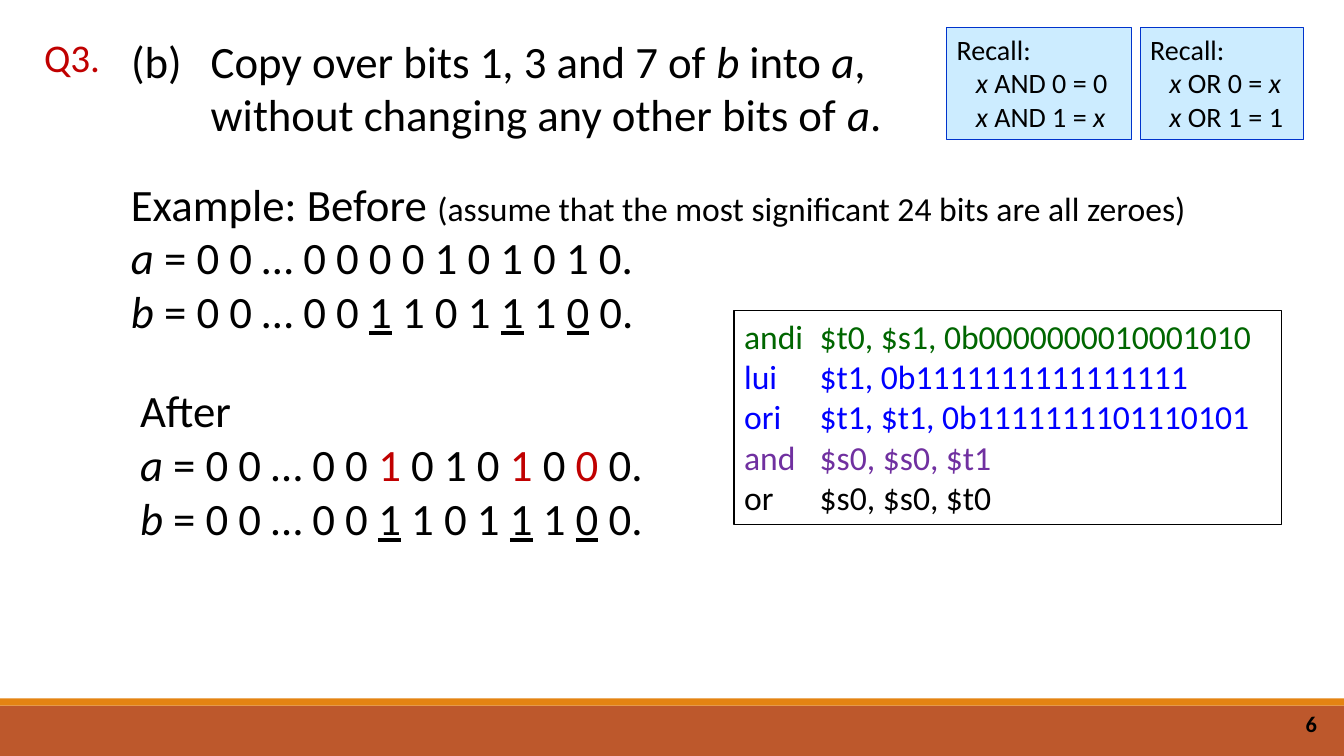
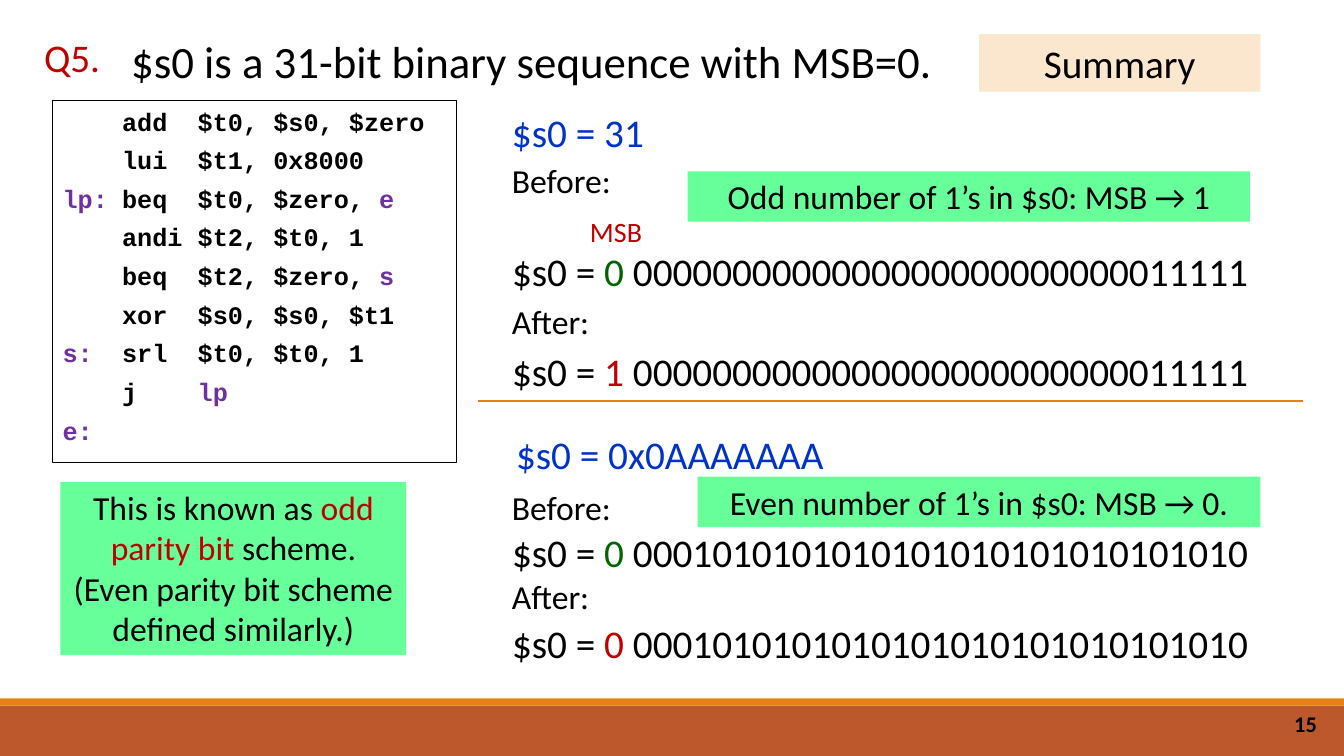
from dataclasses import dataclass
from lxml.etree import SubElement
from pptx import Presentation
from pptx.dml.color import RGBColor
from pptx.enum.shapes import MSO_CONNECTOR, MSO_SHAPE
from pptx.enum.text import MSO_ANCHOR, MSO_AUTO_SIZE, PP_ALIGN
from pptx.oxml.ns import qn
from pptx.util import Inches, Pt


@dataclass(frozen=True)
class Theme:
    sans: str = "Calibri"
    mono: str = "Courier New"
    black: str = "000000"
    white: str = "FFFFFF"
    red: str = "C00000"
    green: str = "006600"
    blue: str = "0033CC"
    code: str = "0000FF"
    plum: str = "7030A0"
    rust: str = "BD582C"
    gold: str = "E48312"
    sky: str = "CCECFF"
    mint: str = "66FF99"
    sand: str = "FBE6CE"
    head: int = 32
    big: int = 28
    mid: int = 24
    note: int = 20
    mono_size: int = 18
    page: int = 16


T = Theme()
WIDE, HIGH = 13.33, 7.5
LEFT, TOP = 1.2, 0.28
FOOT, EDGE = 7, 0.07
COL, SPAN = 4.98, 7.85

MARKS = {
    "i": ("italic", True), "u": ("underline", True), "s": ("size", Pt(T.mid)),
    "r": ("color", T.red), "g": ("color", T.green), "p": ("color", T.plum),
}

B_BITS = "|i:b| = 0 0 … 0 0 |u:1| 1 0 1 |u:1| 1 |u:0| 0."
COPY = "(b)\tCopy over bits 1, 3 and 7 of |i:b| into |i:a|, without changing any other bits of |i:a|."
BEFORE = [
    "Example: Before |s:(assume that the most significant 24 bits are all zeroes)|",
    "|i:a| = 0 0 … 0 0 0 0 1 0 1 0 1 0.",
    B_BITS,
]
AFTER = ["After", "|i:a| = 0 0 … 0 0 |r:1| 0 1 0 |r:1| 0 |r:0| 0.", B_BITS]
MASK = [
    ("andi\t$t0, $s1, 0b0000000010001010", T.green),
    ("lui\t$t1, 0b1111111111111111", T.code),
    ("ori\t$t1, $t1, 0b1111111101110101", T.code),
    ("and\t$s0, $s0, $t1", T.plum),
    ("or\t$s0, $s0, $t0", T.black),
]
RECALL = [
    (9.39, 1.83, ["Recall:", "\t|i:x| AND 0 = 0", "\t|i:x| AND 1 = |i:x|"]),
    (11.31, 1.62, ["Recall:", "\t|i:x| OR 0 = |i:x|", "\t|i:x| OR 1 = 1"]),
]

PARITY = "$s0 is a 31-bit binary sequence with MSB=0."
LOOP = [
    ("", "add", "$t0, $s0, $zero"),
    ("", "lui", "$t1, 0x8000"),
    ("|p:lp:|", "beq", "$t0, $zero, |p:e|"),
    ("", "andi", "$t2, $t0, 1"),
    ("", "beq", "$t2, $zero, |p:s|"),
    ("", "xor", "$s0, $s0, $t1"),
    ("|p:s:|", "srl", "$t0, $t0, 1"),
    ("", "j", "|p:lp|"),
]
LOOP_END = "|p:e:|"
SCHEME = ["This is known as |r:odd parity bit| scheme.",
          "(Even parity bit scheme defined similarly.)"]
CASES = [
    dict(value="$s0 = 31", bits="0000000000000000000000000011111", msb="1",
         left=COL, tops=(1.03, 1.54, 2.4, 2.94, 3.4),
         result="Odd number of 1’s in $s0: MSB → 1", flag=(6.82, 1.7)),
    dict(value="$s0 = 0x0AAAAAAA", bits="0001010101010101010101010101010", msb="0",
         left=5.02, tops=(4.22, 4.78, 5.19, 5.66, 6.09),
         result="Even number of 1’s in $s0: MSB → 0.", flag=(6.92, 4.73)),
]


def rgb(tone):
    return RGBColor.from_string(tone)


def move(shape, at):
    shape.left, shape.top, shape.width, shape.height = map(Inches, at)


def paint(shape, fill=None, line=None):
    if fill:
        shape.fill.solid()
        shape.fill.fore_color.rgb = rgb(fill)
    else:
        shape.fill.background()
    if line:
        shape.line.color.rgb = rgb(line)
        shape.line.width = Pt(0.75)
    else:
        shape.line.fill.background()


def add_runs(para, text):
    for n, part in enumerate(text.split("|")):
        if not part:
            continue
        run = para.add_run()
        if n % 2 == 0:
            run.text = part
            continue
        key, run.text = part.split(":", 1)
        name, value = MARKS[key]
        if name == "color":
            run.font.color.rgb = rgb(value)
        else:
            setattr(run.font, name, value)


def write(shape, lines, size, tone=T.black, face=T.sans, bold=False, after=0,
          align=PP_ALIGN.LEFT, anchor=MSO_ANCHOR.TOP, hang=0):
    frame = shape.text_frame
    frame.word_wrap = True
    frame.auto_size = MSO_AUTO_SIZE.NONE
    frame.vertical_anchor = anchor
    for n, line in enumerate(lines):
        text, hue = line if isinstance(line, tuple) else (line, tone)
        para = frame.add_paragraph() if n else frame.paragraphs[0]
        para.alignment = align
        para.space_before, para.space_after = Pt(0), Pt(after)
        props = para._p.get_or_add_pPr()
        props.set("marL", str(Inches(hang)))
        props.set("indent", str(-Inches(hang)))
        SubElement(props, qn("a:buNone"))
        font = para.font
        font.name, font.size, font.bold = face, Pt(size), bold
        font.color.rgb = rgb(hue)
        add_runs(para, text)


def add_text(slide, at, lines, size, **style):
    box = slide.shapes.add_textbox(*map(Inches, at))
    write(box, lines, size, **style)


def add_box(slide, at, fill, line=None):
    box = slide.shapes.add_shape(MSO_SHAPE.RECTANGLE, *map(Inches, at))
    box.shadow.inherit = False
    paint(box, fill, line)
    return box


def add_label(slide, at, fill, lines, size):
    write(add_box(slide, at, fill), lines, size, align=PP_ALIGN.CENTER)


def add_bands(deck, slide):
    bands = [((0, FOOT, WIDE, HIGH - FOOT), T.rust), ((0, FOOT - EDGE, WIDE, EDGE), T.gold)]
    for n, (at, fill) in enumerate(bands):
        band = add_box(slide, at, fill)
        deck.slide_master.shapes.element.insert(2 + n, band.element)


def add_slide(deck, page, mark, head, size, hang=0):
    slide = deck.slides.add_slide(deck.slide_layouts[1])
    move(slide.shapes.title, (LEFT, TOP, *size))
    write(slide.shapes.title, [head], T.head, hang=hang)
    add_text(slide, (0.22, TOP, 0.99, 0.57), [mark], T.big, tone=T.red, align=PP_ALIGN.CENTER)
    add_text(slide, (10.16, 6.98, 3, 0.4), [page], T.page, bold=True,
             align=PP_ALIGN.RIGHT, anchor=MSO_ANCHOR.MIDDLE)
    return slide


def add_code(slide, at, lines, size, fill=None, **style):
    body = slide.placeholders[1]
    move(body, at)
    paint(body, fill, T.black)
    write(body, lines, size, **style)


def add_case(slide, case):
    value, before, old, after, new = case["tops"]
    add_text(slide, (case["left"], value, 3.36, 0.57), [case["value"]], T.big, tone=T.blue)
    for name, top in (("Before:", before), ("After:", after)):
        add_text(slide, (COL, top, 1.46, 0.5), [name], T.mid)
    for tone, msb, top in (("g", "0", old), ("r", case["msb"], new)):
        text = f"$s0 = |{tone}:{msb}| {case['bits']}"
        add_text(slide, (COL, top, SPAN, 0.57), [text], T.big)
    add_label(slide, (*case["flag"], 5.58, 0.5), T.mint, [case["result"]], T.mid)


def add_rule(slide, left, right, top):
    rule = slide.shapes.add_connector(
        MSO_CONNECTOR.STRAIGHT, *map(Inches, (left, top, right, top)))
    rule.line.color.rgb = rgb(T.gold)
    rule.line.width = Pt(1)
    SubElement(rule.element.spPr, qn("a:effectLst"))


deck = Presentation()
deck.slide_width, deck.slide_height = Inches(WIDE), Inches(HIGH)

copy_bits = add_slide(deck, "6", "Q3.", COPY, (8.76, 1.18), hang=0.79)
add_bands(deck, copy_bits)
add_text(copy_bits, (LEFT, 1.7, 10.74, 1.72), BEFORE, T.head)
add_text(copy_bits, (1.29, 3.75, 5.59, 1.72), AFTER, T.head)
add_code(copy_bits, (7.28, 3.08, 5.43, 2.12), MASK, T.mid, hang=0.75)
for left, width, lines in RECALL:
    write(add_box(copy_bits, (left, 0.27, width, 1.11), T.sky, T.blue),
          lines, T.note, hang=0.19)

parity = add_slide(deck, "15", "Q5.", PARITY, (8.51, 0.64))
code = [f"{label}\t{verb:<5}{args}" for label, verb, args in LOOP] + [LOOP_END]
add_code(parity, (0.52, 1, 4.01, 3.59), code, T.mono_size, T.white,
         face=T.mono, bold=True, after=6, hang=0.59)
add_rule(parity, 4.74, 12.92, 3.98)
for case in CASES:
    add_case(parity, case)
add_text(parity, (5.75, 2.08, 0.72, 0.44), ["MSB"], T.note, tone=T.red, align=PP_ALIGN.CENTER)
add_label(parity, (9.71, 0.34, 2.79, 0.57), T.sand, ["Summary"], T.big)
add_label(parity, (0.6, 4.78, 3.43, 1.72), T.mint, SCHEME, T.mid)

deck.save("out.pptx")
